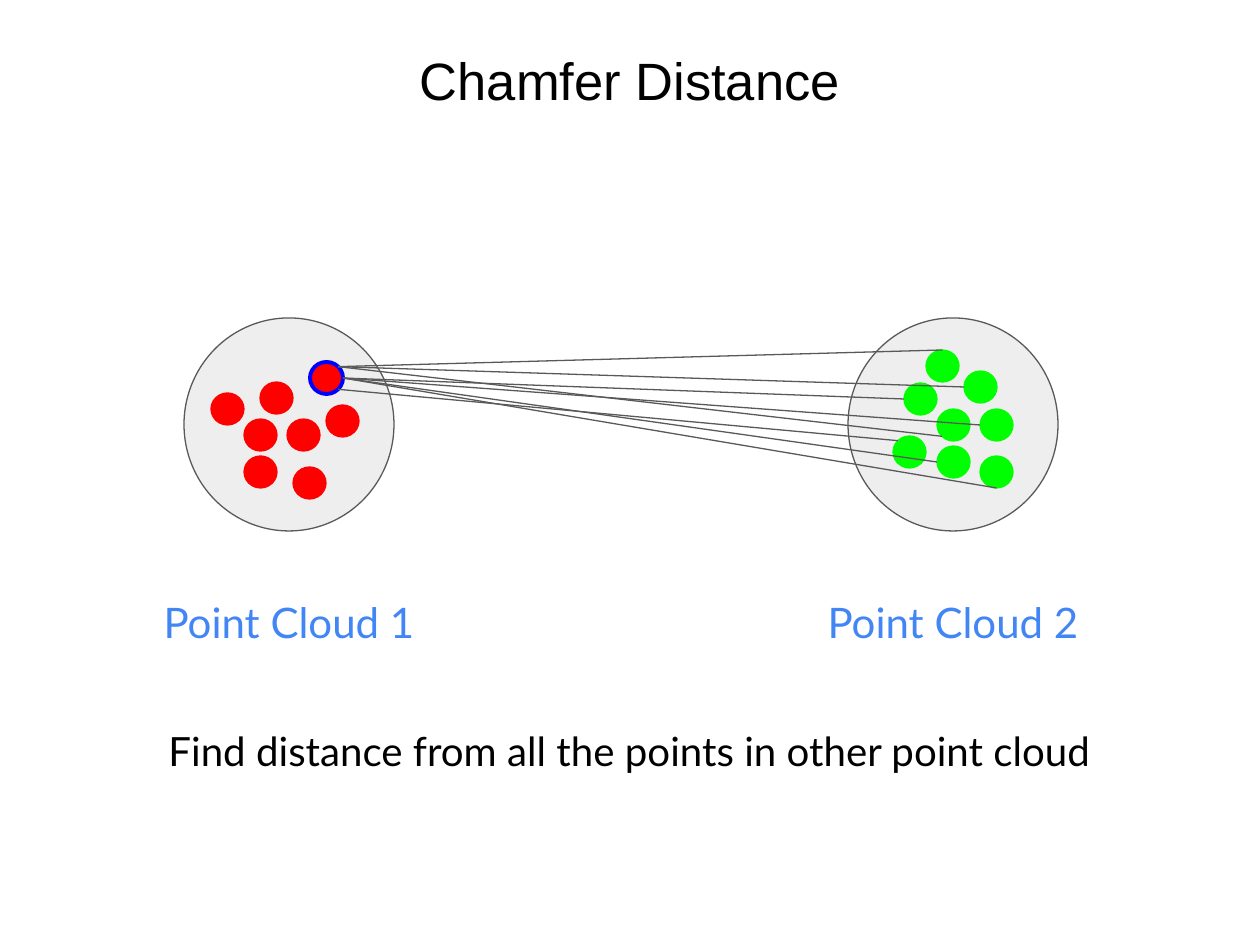
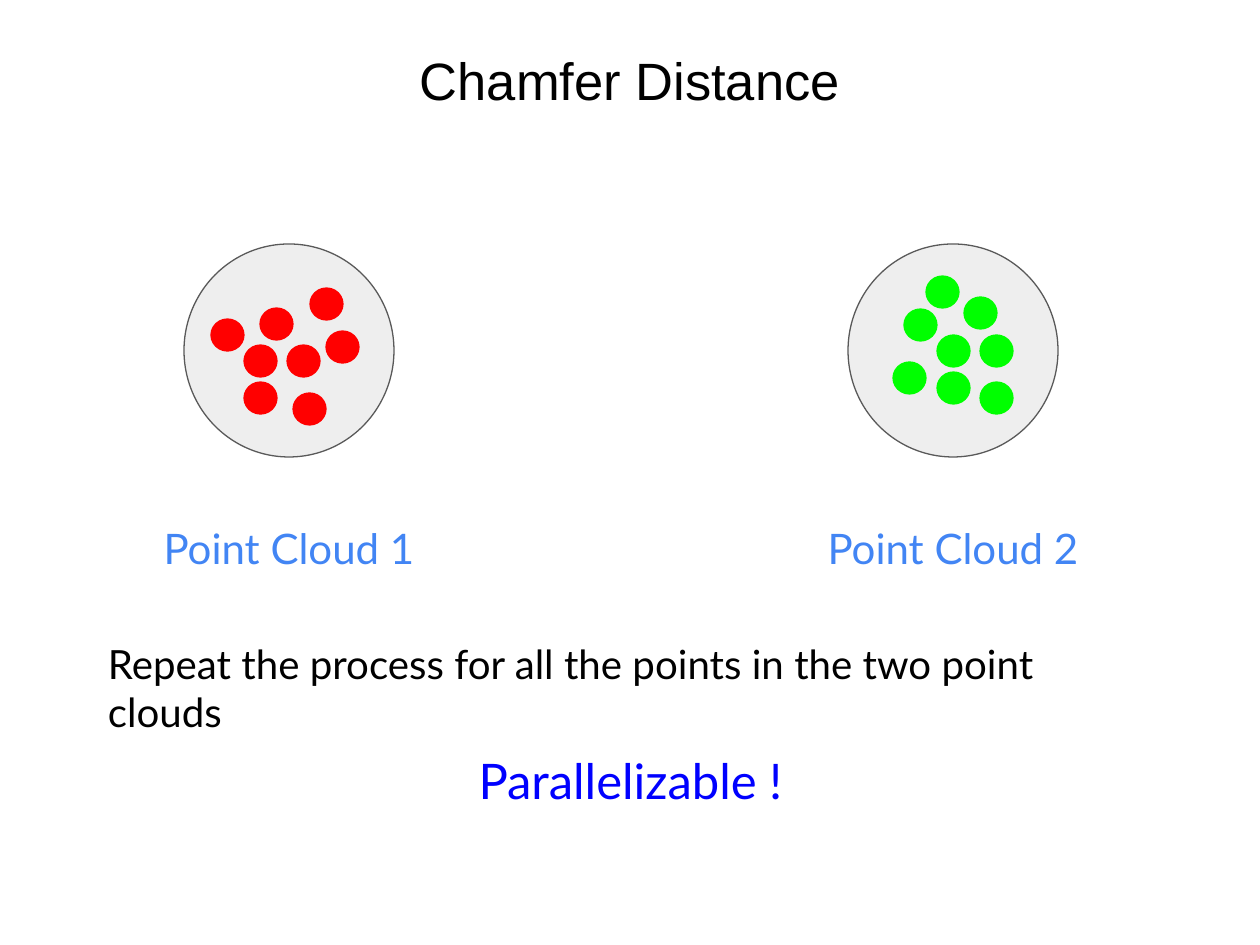
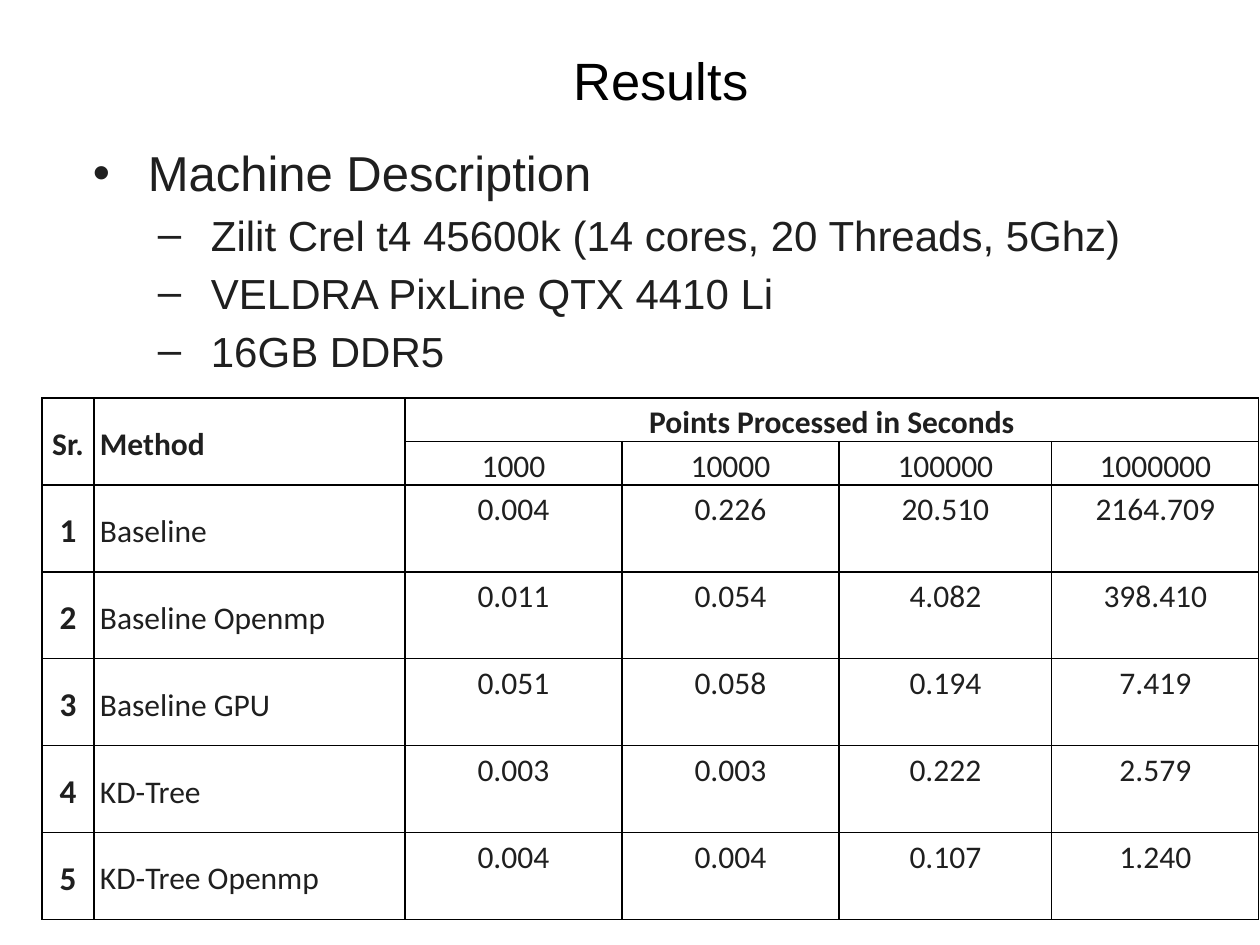
"""Build three slides on Chamfer distance and its timing results."""
from math import cos, radians, sin

from lxml.etree import SubElement
from pptx import Presentation
from pptx.dml.color import RGBColor
from pptx.enum.shapes import MSO_CONNECTOR, MSO_SHAPE
from pptx.enum.text import MSO_ANCHOR, MSO_AUTO_SIZE, PP_ALIGN
from pptx.oxml.ns import qn
from pptx.util import Emu, Pt

EMU_PER_INCH = 914400
PX_PER_INCH = 126

BLACK = RGBColor(0x00, 0x00, 0x00)
INK = RGBColor(0x1F, 0x1F, 0x1F)
GRAY = RGBColor(0x59, 0x59, 0x59)
PALE = RGBColor(0xEE, 0xEE, 0xEE)
RED = RGBColor(0xFF, 0x00, 0x00)
GREEN = RGBColor(0x00, 0xFF, 0x00)
BLUE = RGBColor(0x00, 0x00, 0xFF)
LABEL_BLUE = RGBColor(0x42, 0x85, 0xF4)

CLOUD_SIZE = (210, 213)
DOT_SIZE = (33, 32)
LEFT_CLOUD_X, RIGHT_CLOUD_X = 184, 848
RED_DOTS = [(60, 101), (76, 64), (27, 75), (126, 44),
            (142, 87), (60, 138), (103, 101), (109, 149)]
GREEN_DOTS = [(89, 91), (116, 53), (56, 65), (45, 118),
              (132, 138), (89, 128), (132, 91), (78, 32)]
QUERY_DOT = 3
DISTANCE_LINES = [(7, 7, 0), (6, 6, 2), (5, 3, 1), (6, 5, 2),
                  (6, 4, 4), (6, 2, 2), (7, 1, 2), (7, 0, 3)]

MACHINE = ["Zilit Crel t4 45600k (14 cores, 20 Threads, 5Ghz)",
           "VELDRA PixLine QTX 4410 Li",
           "16GB DDR5"]
COLUMN_WIDTHS = [52, 311, 217, 217, 213, 207]
ROW_HEIGHTS = [32, 39, 87, 87, 87, 87, 87]
RESULTS = [
    ["Sr.", "Method", "Points Processed in Seconds", "", "", ""],
    ["", "", "1000", "10000", "100000", "1000000"],
    ["1", "Baseline", "0.004", "0.226", "20.510", "2164.709"],
    ["2", "Baseline Openmp", "0.011", "0.054", "4.082", "398.410"],
    ["3", "Baseline GPU", "0.051", "0.058", "0.194", "7.419"],
    ["4", "KD-Tree", "0.003", "0.003", "0.222", "2.579"],
    ["5", "KD-Tree Openmp", "0.004", "0.004", "0.107", "1.240"],
]


def px(length):
    """Turn pixels into EMU."""
    return Emu(round(length * EMU_PER_INCH / PX_PER_INCH))


def write(para, text, font="Lato", size=24, color=BLACK, bold=False,
          align=PP_ALIGN.CENTER, spacing=None, before=0):
    """Fill a paragraph with one formatted span."""
    para.alignment = align
    para.line_spacing = spacing
    para.space_before = Pt(before)
    span = para.add_run()
    span.text = text
    span.font.name = font
    span.font.size = Pt(size)
    span.font.bold = bold
    span.font.color.rgb = color


def set_margins(target, side, top, bottom):
    """Set the inner margins of a text frame or a cell."""
    target.margin_left = target.margin_right = px(side)
    target.margin_top, target.margin_bottom = px(top), px(bottom)


def add_frame(page, left, top, width, height, margins=(13, 13, 13)):
    """Add a wrapping text box and return its text frame."""
    box = page.shapes.add_textbox(px(left), px(top), px(width), px(height))
    frame = box.text_frame
    frame.word_wrap = True
    set_margins(frame, *margins)
    return frame


def add_text(page, text, left, top, width, height, **style):
    """Add a text box that grows with its single paragraph."""
    frame = add_frame(page, left, top, width, height)
    frame.auto_size = MSO_AUTO_SIZE.SHAPE_TO_FIT_TEXT
    write(frame.paragraphs[0], text, **style)


def add_title(page, text, left=63):
    """Add the slide title."""
    frame = add_frame(page, left, 41, 1134, 96, margins=(13, 7, 6))
    write(frame.paragraphs[0], text, font="Arial", size=30)


def add_ellipse(page, left, top, size, fill, line, weight=0.75):
    """Add a filled and outlined ellipse."""
    ellipse = page.shapes.add_shape(
        MSO_SHAPE.OVAL, px(left), px(top), px(size[0]), px(size[1]))
    ellipse.shadow.inherit = False
    ellipse.fill.solid()
    ellipse.fill.fore_color.rgb = fill
    ellipse.line.color.rgb = line
    ellipse.line.width = Pt(weight)
    return ellipse


def add_dots(page, left, top, offsets, color):
    """Add the points of one cloud and return them."""
    return [add_ellipse(page, left + x, top + y, DOT_SIZE, color, color)
            for x, y in offsets]


def add_clouds(page, top):
    """Add both labelled point clouds and return their dots."""
    for number, left in ((2, RIGHT_CLOUD_X), (1, LEFT_CLOUD_X)):
        add_ellipse(page, left, top, CLOUD_SIZE, PALE, GRAY)
        add_text(page, f"Point Cloud {number}", left - 42, top + 266, 294, 77,
                 color=LABEL_BLUE)
    return (add_dots(page, LEFT_CLOUD_X, top, RED_DOTS, RED),
            add_dots(page, RIGHT_CLOUD_X, top, GREEN_DOTS, GREEN))


def site_point(dot, site):
    """Locate one of the eight connection sites of an ellipse."""
    angle = radians(90 + 45 * site)
    return (Emu(round(dot.left + dot.width * (1 + cos(angle)) / 2)),
            Emu(round(dot.top + dot.height * (1 - sin(angle)) / 2)))


def add_distance(page, start, start_site, end, end_site):
    """Join two dots with a thin line at the given sites."""
    line = page.shapes.add_connector(
        MSO_CONNECTOR.STRAIGHT,
        *site_point(start, start_site), *site_point(end, end_site))
    line.line.color.rgb = GRAY
    line.line.width = Pt(0.75)
    SubElement(line._element.spPr, qn("a:effectLst"))
    joints = line._element.find(".//" + qn("p:cNvCxnSpPr"))
    for tag, dot, site in (("a:stCxn", start, start_site),
                           ("a:endCxn", end, end_site)):
        SubElement(joints, qn(tag), id=str(dot.shape_id), idx=str(site))


def add_bullet(para, mark, indent, hanging):
    """Give a paragraph a bullet with a hanging indent."""
    properties = para._p.get_or_add_pPr()
    properties.set("marL", str(px(indent)))
    properties.set("indent", str(-px(hanging)))
    color = SubElement(properties, qn("a:buClr"))
    SubElement(color, qn("a:srgbClr"), val=str(INK))
    SubElement(properties, qn("a:buFont"), typeface="Arial")
    SubElement(properties, qn("a:buChar"), char=mark)


def add_machine(page):
    """Add the bulleted machine description."""
    frame = add_frame(page, 72, 127, 1157, 700, margins=(13, 7, 6))
    style = dict(font="Arial", color=INK, align=PP_ALIGN.LEFT, spacing=1.15)
    head = frame.paragraphs[0]
    write(head, "Machine Description", size=28, before=5.6, **style)
    add_bullet(head, "•", 63, 55)
    for part in MACHINE:
        para = frame.add_paragraph()
        para.level = 1
        write(para, part, **style)
        add_bullet(para, "–", 126, 53)


def add_borders(cell):
    """Draw thin black lines on all four sides of a cell."""
    properties = cell._tc.get_or_add_tcPr()
    for side in ("a:lnL", "a:lnR", "a:lnT", "a:lnB"):
        border = SubElement(properties, qn(side), w=str(Pt(0.75)))
        fill = SubElement(border, qn("a:solidFill"))
        SubElement(fill, qn("a:srgbClr"), val=str(BLACK))


def fill_cell(cell, text, row, column):
    """Format one cell of the results table."""
    add_borders(cell)
    cell.fill.background()
    set_margins(cell, 6, 0, 0)
    cell.vertical_anchor = MSO_ANCHOR.MIDDLE if column < 2 else MSO_ANCHOR.TOP
    if text:
        write(cell.text_frame.paragraphs[0], text, font="Calibri",
              size=19 if column == 0 and row > 1 else 18, color=INK,
              bold=row == 0 or column == 0, spacing=1.15,
              align=PP_ALIGN.LEFT if column == 1 else PP_ALIGN.CENTER)


def add_results(page):
    """Add the table of run times."""
    table = page.shapes.add_table(
        len(ROW_HEIGHTS), len(COLUMN_WIDTHS), px(42), px(398),
        px(sum(COLUMN_WIDTHS)), px(sum(ROW_HEIGHTS))).table
    table.first_row = table.horz_banding = False
    for column, width in zip(table.columns, COLUMN_WIDTHS):
        column.width = px(width)
    for row, height in zip(table.rows, ROW_HEIGHTS):
        row.height = px(height)
    for row, texts in enumerate(RESULTS):
        for column, text in enumerate(texts):
            fill_cell(table.cell(row, column), text, row, column)
    for column in (0, 1):
        table.cell(0, column).merge(table.cell(1, column))
    table.cell(0, 2).merge(table.cell(0, 5))


def build_distance_slide(page):
    """Show the distances from one point to the other cloud."""
    add_title(page, "Chamfer Distance")
    reds, greens = add_clouds(page, 318)
    query = reds[QUERY_DOT]
    query.line.color.rgb = BLUE
    query.line.width = Pt(2.25)
    for start_site, target, end_site in DISTANCE_LINES:
        add_distance(page, query, start_site, greens[target], end_site)
    add_text(page, "Find distance from all the points in other point cloud",
             95, 713, 1070, 74, size=23)


def build_repeat_slide(page):
    """Show that the process repeats over both clouds."""
    add_title(page, "Chamfer Distance")
    add_clouds(page, 244)
    add_text(page,
             "Repeat the process for all the points in the two point clouds",
             95, 626, 1070, 74, size=23, align=PP_ALIGN.LEFT)
    add_text(page, "Parallelizable !", 447, 737, 367, 84, size=28, color=BLUE)


def build_results_slide(page):
    """Show the machine and its run times."""
    add_title(page, "Results", left=94)
    add_machine(page)
    add_results(page)


def main():
    """Build and save the deck."""
    deck = Presentation()
    deck.slide_width, deck.slide_height = px(1260), px(945)
    for build in (build_distance_slide, build_repeat_slide,
                  build_results_slide):
        build(deck.slides.add_slide(deck.slide_layouts[6]))
    deck.save("out.pptx")


if __name__ == "__main__":
    main()
